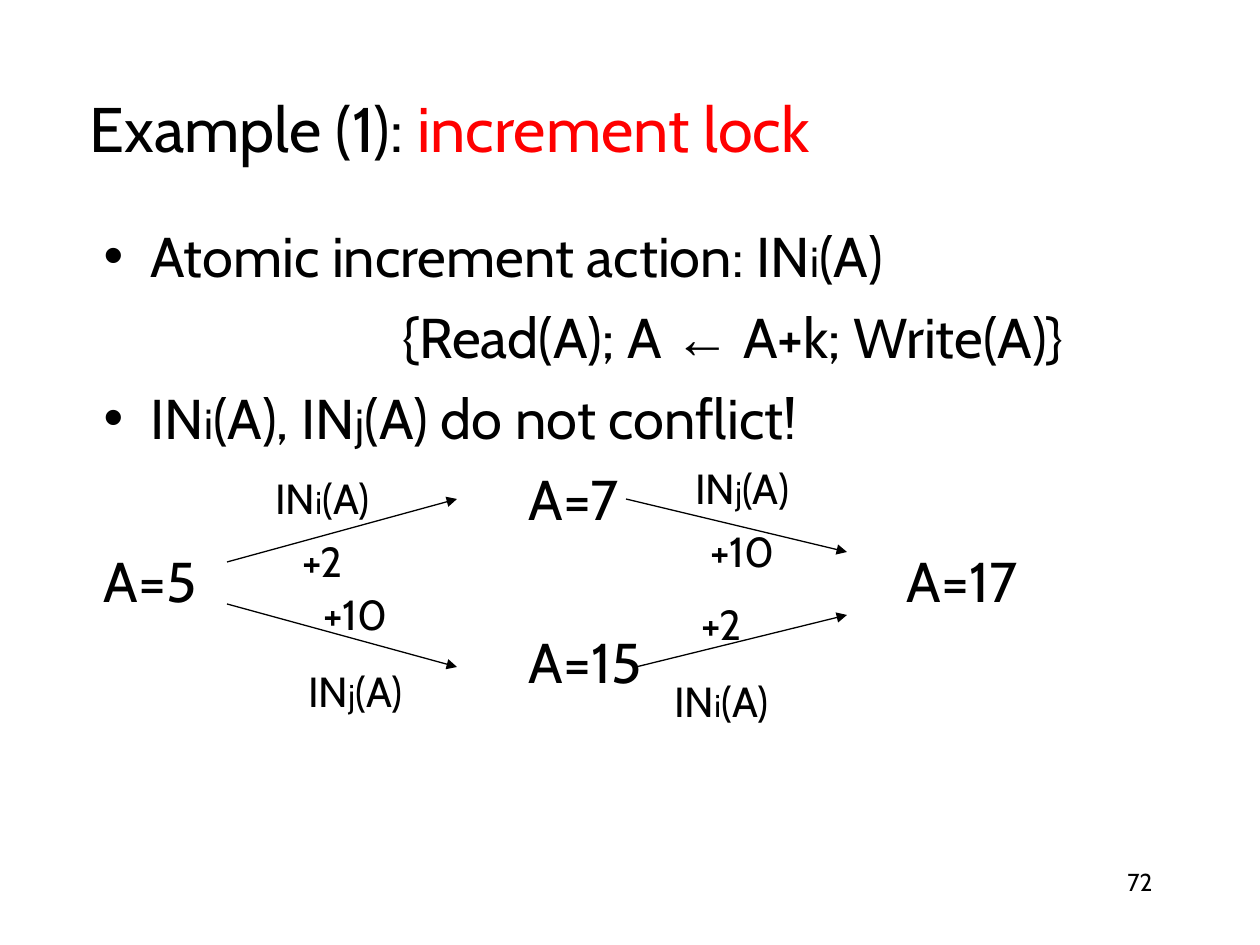
from lxml.etree import SubElement
from pptx import Presentation
from pptx.dml.color import RGBColor
from pptx.enum.shapes import MSO_CONNECTOR
from pptx.enum.text import MSO_ANCHOR, MSO_AUTO_SIZE, PP_ALIGN
from pptx.oxml.ns import qn
from pptx.util import Emu, Pt

PX = 914400 / 126
BLACK = RGBColor(0x00, 0x00, 0x00)
RED = RGBColor(0xFF, 0x00, 0x00)


def px(*values):
    return [Emu(round(v * PX)) for v in values]


def write(p, text, size, small=None):
    for piece in text.split("|"):
        r = p.add_run()
        r.text = piece
        r.font.size = Pt(small if piece in ("i", "j") else size)
        r.font.name = "Arial" if piece == "←" else "Cabin"
        r.font.color.rgb = BLACK


prs = Presentation()
prs.slide_width, prs.slide_height = px(1260, 945)
s = prs.slides.add_slide(prs.slide_layouts[1])

title = s.shapes.title
title.left, title.top, title.width, title.height = px(77, 48, 1071, 158)
tf = title.text_frame
tf.auto_size = MSO_AUTO_SIZE.NONE
tf.vertical_anchor = MSO_ANCHOR.MIDDLE
p = tf.paragraphs[0]
p.alignment = PP_ALIGN.LEFT
write(p, "Example (1): |increment lock", 36)
p.runs[1].font.color.rgb = RED

body = s.placeholders[1]
body.left, body.top, body.width, body.height = px(91, 215, 1071, 567)
tf = body.text_frame
tf.auto_size = MSO_AUTO_SIZE.NONE
lines = [
    (True, "Atomic increment action: IN|i|(A)"),
    (False, "\t\t\t{Read(A); A |←| A+k; Write(A)}"),
    (True, "IN|i|(A), IN|j|(A) do not conflict!"),
    (False, "\t\t\t\tA=7"),
    (False, "A=5\t\t\t\t\t\tA=17"),
    (False, "\t\t\t\tA=15"),
]
indent, tab = px(47, 126)
for lvl in prs.slide_master._element.iter(qn("a:lvl1pPr")):
    lvl.set("defTabSz", str(tab))
for i, (bulleted, text) in enumerate(lines):
    p = tf.add_paragraph() if i else tf.paragraphs[0]
    write(p, text, 32, 24)
    p.space_before = Pt(8)
    pPr = p._p.get_or_add_pPr()
    pPr.set("marL", str(indent))
    pPr.set("indent", str(-indent))
    pPr.set("defTabSz", str(tab))
    if bulleted:
        SubElement(pPr, qn("a:buChar"), char="•")
    else:
        SubElement(pPr, qn("a:buNone"))
    tabs = SubElement(pPr, qn("a:tabLst"))
    for n in range(8):
        SubElement(tabs, qn("a:tab"), pos=str(n * tab), algn="l")

arrows = [
    (227, 562, 457, 499),
    (227, 604, 457, 667),
    (626, 499, 847, 552),
    (636, 667, 847, 615),
]
for ends in arrows:
    c = s.shapes.add_connector(MSO_CONNECTOR.STRAIGHT, *px(*ends))
    c.line.color.rgb = BLACK
    c.line.width = Pt(0.75)
    SubElement(c.line._get_or_add_ln(), qn("a:tailEnd"), type="triangle")
    SubElement(c._element.spPr, qn("a:effectLst"))

labels = [
    (257, 466, 125, "IN|i|(A)", "+2", 0.7),
    (677, 456, 125, "IN|j|(A)", "+10", 0.7),
    (290, 582, 140, "+10", "IN|j|(A)", None),
    (656, 592, 140, "+2", "IN|i|(A)", None),
]
for x, y, h, upper, lower, spacing in labels:
    tf = s.shapes.add_textbox(*px(x, y, 131, h)).text_frame
    tf.word_wrap = False
    tf.auto_size = MSO_AUTO_SIZE.SHAPE_TO_FIT_TEXT
    tf.vertical_anchor = MSO_ANCHOR.MIDDLE
    for p, text in ((tf.paragraphs[0], upper), (tf.add_paragraph(), lower)):
        write(p, text, 24, 18)
        p.alignment = PP_ALIGN.CENTER
        p.space_before = Pt(15)
    p.line_spacing = spacing

tf = s.shapes.add_textbox(*px(903, 861, 262, 63)).text_frame
tf.word_wrap = True
p = tf.paragraphs[0]
p.alignment = PP_ALIGN.RIGHT
write(p, "72", 14)

prs.save("out.pptx")
